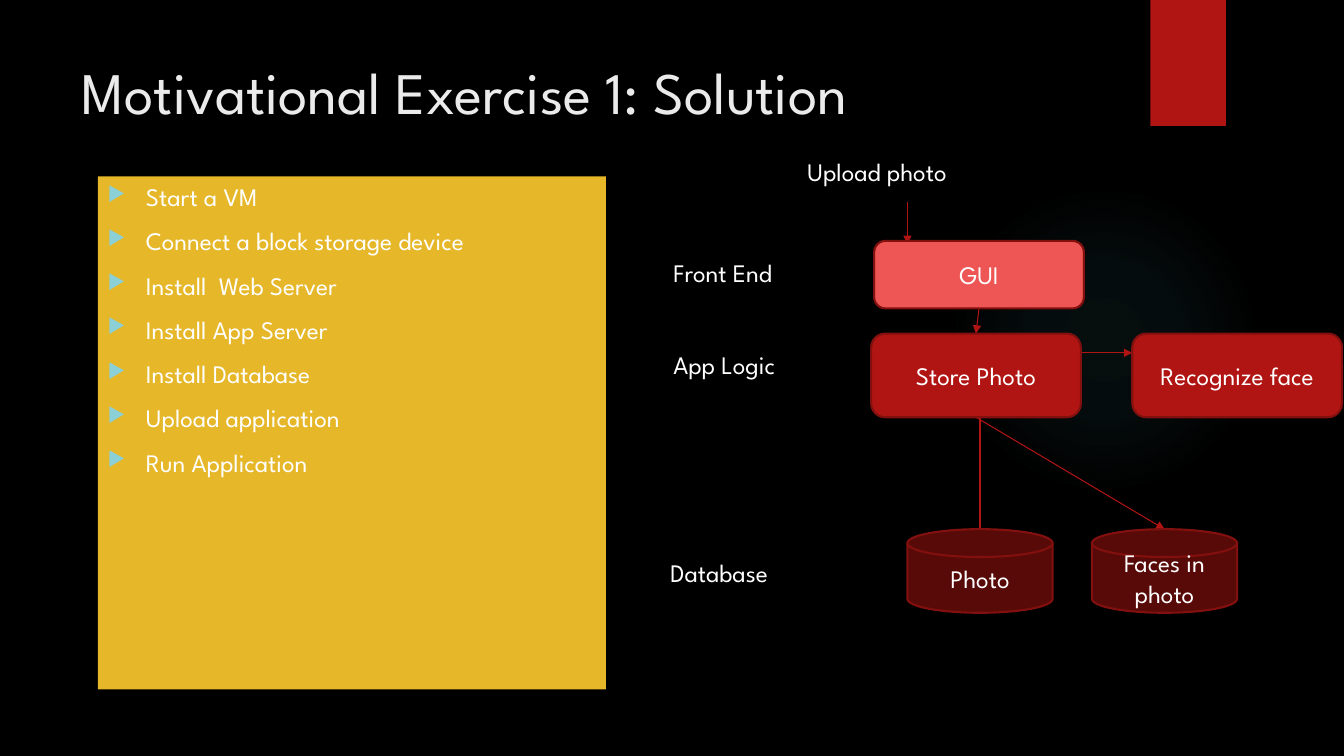
"""Build the slide with the solution to motivational exercise 1."""
from lxml import etree
from pptx import Presentation
from pptx.dml.color import RGBColor
from pptx.enum.shapes import MSO_CONNECTOR, MSO_SHAPE
from pptx.enum.text import MSO_ANCHOR, MSO_AUTO_SIZE, PP_ALIGN
from pptx.oxml import parse_xml
from pptx.oxml.ns import nsdecls, qn
from pptx.util import Inches, Pt

RECT, OVAL = MSO_SHAPE.RECTANGLE, MSO_SHAPE.OVAL
ROUND, DISK = MSO_SHAPE.ROUNDED_RECTANGLE, MSO_SHAPE.FLOWCHART_MAGNETIC_DISK
LINE = MSO_CONNECTOR.STRAIGHT
TOP, MIDDLE = MSO_ANCHOR.TOP, MSO_ANCHOR.MIDDLE
LEFT, CENTER = PP_ALIGN.LEFT, PP_ALIGN.CENTER
FIT, FIXED = MSO_AUTO_SIZE.SHAPE_TO_FIT_TEXT, MSO_AUTO_SIZE.NONE

BLACK = RGBColor(0x00, 0x00, 0x00)
WHITE = RGBColor(0xFF, 0xFF, 0xFF)
PALE = RGBColor(0xEB, 0xEB, 0xEB)
RED = RGBColor(0xB0, 0x15, 0x13)
EDGE = RGBColor(0x82, 0x10, 0x0E)
ROSE = RGBColor(0xED, 0x56, 0x54)
WINE = RGBColor(0x58, 0x0A, 0x09)
GOLD = RGBColor(0xE6, 0xB7, 0x29)

FONT = {"name": "League Spartan", "size": Pt(18)}


def write(para, text, align=LEFT, color=WHITE, **extra):
    run = para.add_run()
    run.text = text
    para.alignment = align
    for key, value in {**FONT, **extra}.items():
        setattr(run.font, key, value)
    run.font.color.rgb = color


def draw(kind, place, fill, edge=None):
    shape = slide.shapes.add_shape(kind, *map(Inches, place))
    shape.shadow.inherit = False
    shape.fill.solid()
    shape.fill.fore_color.rgb = fill
    if edge is None:
        shape.line.fill.background()
    else:
        shape.line.color.rgb = edge
        shape.line.width = Pt(1.5)
    return shape


deck = Presentation()
deck.slide_width, deck.slide_height = Inches(13.33), Inches(7.5)
slide = deck.slides.add_slide(deck.slide_layouts[5])
slide.background.fill.solid()
slide.background.fill.fore_color.rgb = BLACK

glow = draw(OVAL, (9.41, 1.83, 3.08, 3.08), BLACK)
stops = "".join(
    f'<a:gs pos="{spot}000"><a:srgbClr val="50B9C1"><a:alpha val="{alpha}000"/></a:srgbClr></a:gs>'
    for spot, alpha in ((0, 7), (36, 6), (69, 0), (100, 0)))
blend = parse_xml(
    f'<a:gradFill {nsdecls("a")}><a:gsLst>{stops}</a:gsLst><a:path path="circle">'
    '<a:fillToRect l="50000" t="50000" r="50000" b="50000"/></a:path></a:gradFill>')
props = glow.element.spPr
props.replace(props.find(qn("a:solidFill")), blend)

draw(RECT, (11.41, 0, 0.75, 1.25), RED)

title = slide.shapes.title
title.left, title.top, title.width, title.height = map(Inches, (0.71, 0.5, 10.29, 1.53))
title.text_frame.vertical_anchor = TOP
title.text_frame.auto_size = FIXED
write(title.text_frame.paragraphs[0], "Motivational Exercise 1: Solution", color=PALE, size=Pt(42))

STEPS = ["Start a VM", "Connect a block storage device", "Install  Web Server",
         "Install App Server", "Install Database", "Upload application", "Run Application"]
panel = draw(RECT, (0.97, 1.75, 5.04, 5.09), GOLD).text_frame
panel.vertical_anchor = TOP
for index, step in enumerate(STEPS):
    para = panel.add_paragraph() if index else panel.paragraphs[0]
    write(para, step)
    para.space_before = Pt(10)
    style = para._p.get_or_add_pPr()
    style.set("marL", str(Inches(0.38)))
    style.set("indent", str(Inches(-0.38)))
    tint = etree.SubElement(style, qn("a:buClr"))
    etree.SubElement(tint, qn("a:srgbClr"), val="8AD0D6")
    etree.SubElement(style, qn("a:buSzPct"), val="80000")
    etree.SubElement(style, qn("a:buChar"), char="▶")

LINKS = [
    ((9.72, 4.14), (9.72, 5.25), False, None, None),
    ((9, 2), (9, 2.42), True, None, None),
    ((10.72, 3.5), (11.23, 3.5), True, None, None),
    ((9.68, 4.14), (11.55, 5.25), True, "Store Photo", None),
    ((9.71, 3.06), (9.68, 3.31), True, "GUI", "Store Photo"),
]
joins = []
for start, end, arrow, source, target in LINKS:
    link = slide.shapes.add_connector(LINE, *map(Inches, start + end))
    link.line.color.rgb = RED
    link.line.width = Pt(0.75)
    if arrow:
        etree.SubElement(link.line._get_or_add_ln(), qn("a:tailEnd"), type="triangle")
    etree.SubElement(link._element.spPr, qn("a:effectLst"))
    joins.append((link, source, target))

NODES = [
    ("Store Photo", ROUND, (8.64, 3.31, 2.08, 0.83), RED),
    ("Recognize face", ROUND, (11.23, 3.31, 2.08, 0.83), RED),
    ("GUI", ROUND, (8.67, 2.39, 2.08, 0.67), ROSE),
    ("Photo", DISK, (9, 5.25, 1.44, 0.83), WINE),
    ("Faces in photo", DISK, (10.83, 5.25, 1.44, 0.83), WINE),
]
nodes = {}
for name, kind, place, fill in NODES:
    nodes[name] = draw(kind, place, fill, EDGE)
    frame = nodes[name].text_frame
    frame.vertical_anchor = MIDDLE
    write(frame.paragraphs[0], name, CENTER)

for link, source, target in joins:
    if source:
        link.begin_connect(nodes[source], 2)
    if target:
        link.end_connect(nodes[target], 0)

LABELS = [
    ("Upload photo", 7.91, 1.5, 1.63),
    ("Front End", 6.58, 2.5, 1.23),
    ("App Logic", 6.58, 3.42, 1.25),
    ("Database", 6.55, 5.48, 1.19),
]
for text, left, top, width in LABELS:
    frame = slide.shapes.add_textbox(*map(Inches, (left, top, width, 0.4))).text_frame
    frame.word_wrap = False
    frame.auto_size = FIT
    write(frame.paragraphs[0], text)

deck.save("out.pptx")
